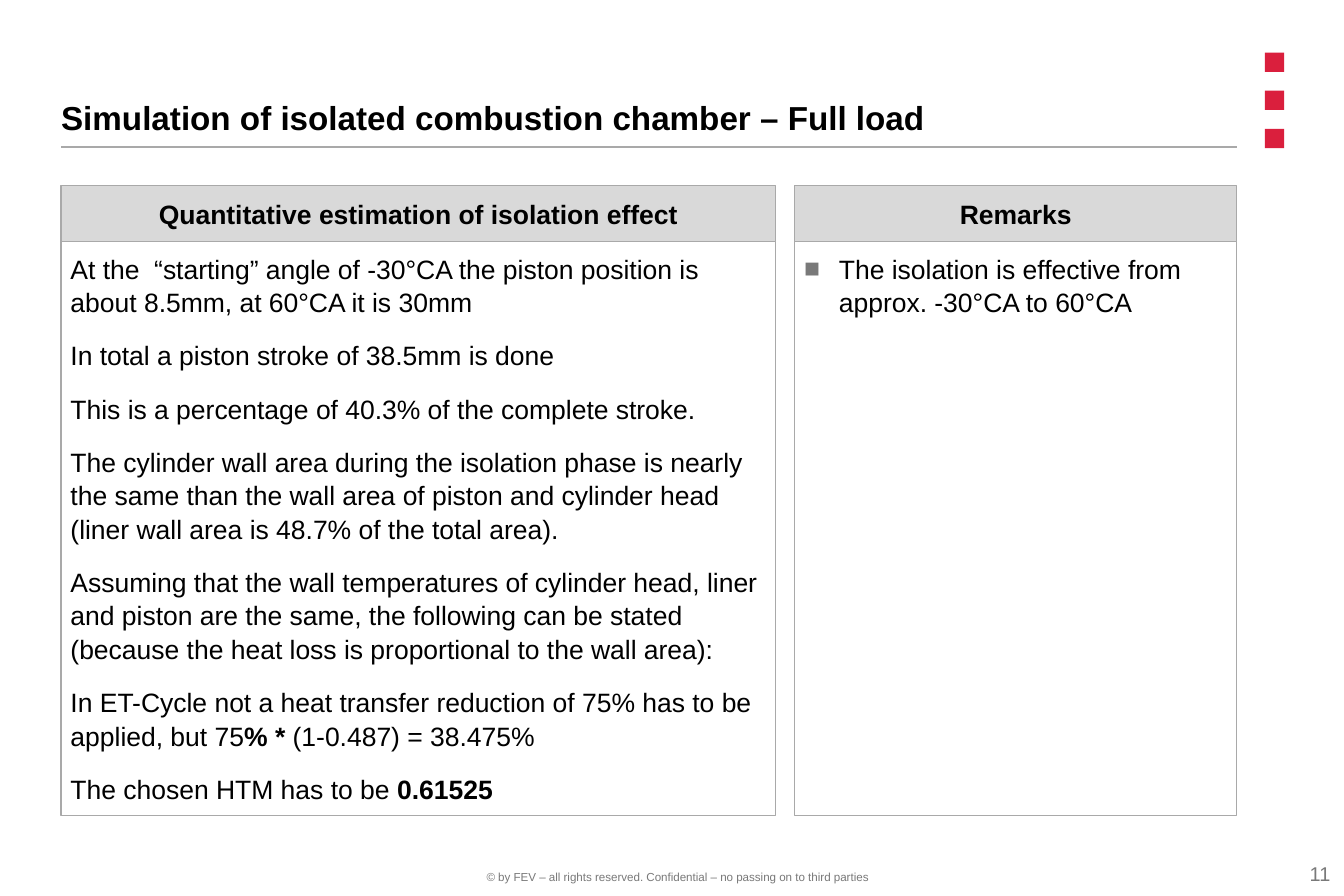
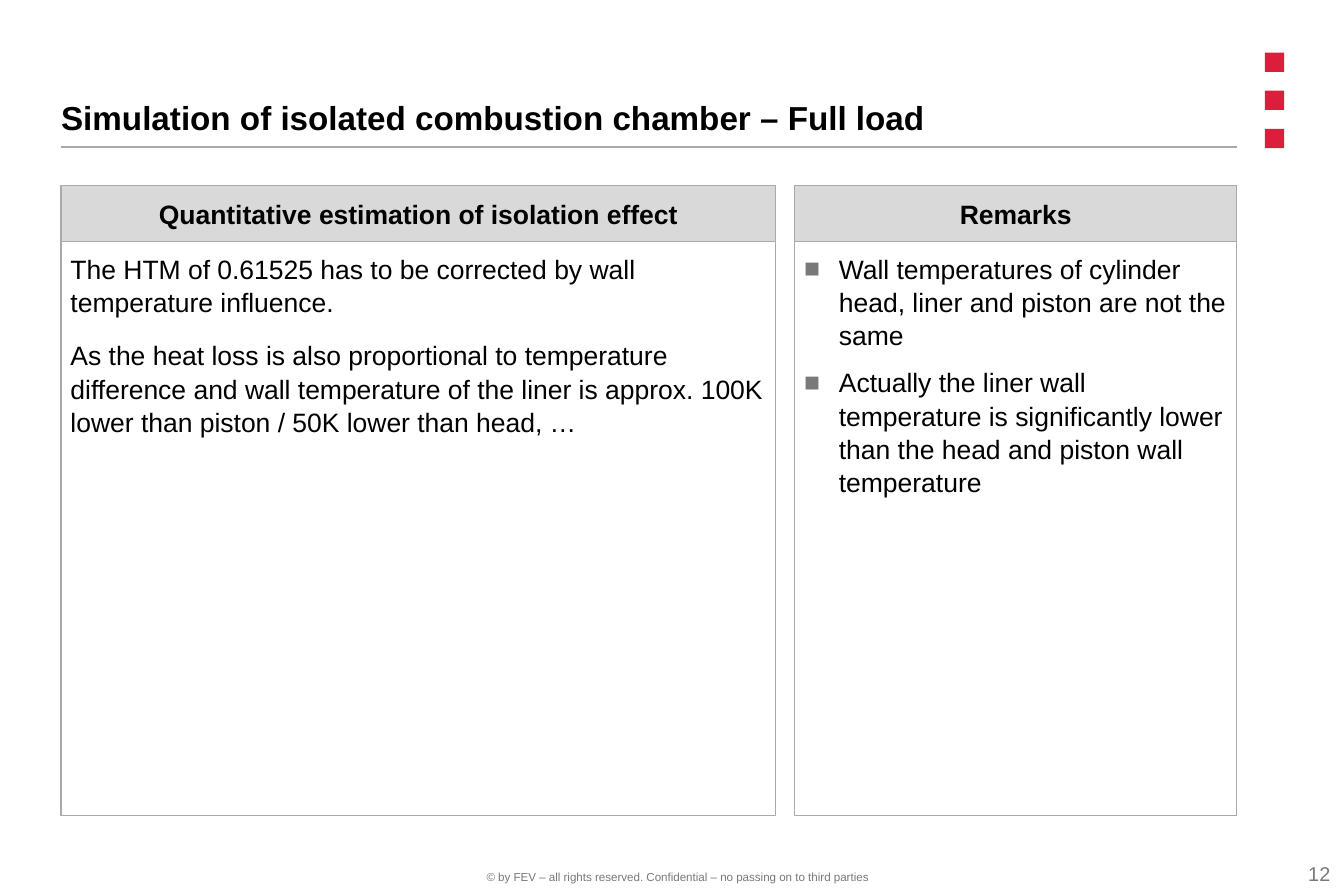
from lxml import etree
from pptx import Presentation
from pptx.dml.color import RGBColor
from pptx.enum import shapes, text
from pptx.oxml.ns import qn
from pptx.util import Cm, Pt

# Content: a paragraph is a list of runs, and "*" marks a bold run
TITLE = "Simulation of isolated combustion chamber – Full load"
FOOTER = "© by FEV – all rights reserved. Confidential – no passing on to third parties"
HEADINGS = ("Quantitative estimation of isolation effect", "Remarks")
SLIDES = [
    {
        "number": 11,
        "estimation": [
            ["At the  “starting” angle of -30°CA the piston position is about 8.5mm, at 60°CA it is 30mm"],
            ["In total a piston stroke of 38.5mm is done"],
            ["This is a percentage of 40.3% of the complete stroke."],
            ["The cylinder wall area during the isolation phase is nearly the same than the wall area "
             "of piston and cylinder head (liner wall area is 48.7% of the total area)."],
            ["Assuming that the wall temperatures of cylinder head, liner and piston are the same, the "
             "following can be stated (because the heat loss is proportional to the wall area):"],
            ["In ET-Cycle not a heat transfer reduction of 75% has to be applied, but 75",
             ("% *", "*"), " (1-0.487) = 38.475%"],
            ["The chosen HTM has to be ", ("0.61525", "*")],
        ],
        "remarks": [["The isolation is effective from approx. -30°CA to 60°CA"]],
    },
    {
        "number": 12,
        "estimation": [
            ["The HTM of 0.61525 has to be corrected by wall temperature influence."],
            ["As the heat loss is also proportional to temperature difference and wall temperature of "
             "the liner is approx. 100K lower than piston / 50K lower than head, …"],
        ],
        "remarks": [
            ["Wall temperatures of cylinder head, liner and piston are not the same"],
            ["Actually the liner wall temperature is significantly lower than the head and piston "
             "wall temperature"],
        ],
    },
]

# Shared style and grid, in centimetres
FONT = "Arial"
BLACK, GREY, LINE, HEADER, RED = "000000", "797979", "A9A9A9", "D9D9D9", "DA1F3D"
LEFT, TOP, WIDTH = 1.3, 1.12, 25
GAP, ESTIMATION_WIDTH = 0.4, 15.2
REMARKS_WIDTH = WIDTH - GAP - ESTIMATION_WIDTH
HEADER_TOP, HEADER_HEIGHT, BODY_HEIGHT = 3.94, 1.2, 12.2
RULE_Y = 3.12
SQUARE, SQUARE_PITCH, SQUARE_LEFT = 0.41, 0.81, 26.9
BULLET_INDENT = 0.74
ALIGN, ANCHOR = text.PP_ALIGN, text.MSO_ANCHOR


def color(value):
    return RGBColor.from_string(value)


def add_bullet(paragraph):
    properties = paragraph._p.get_or_add_pPr()
    properties.set("marL", str(Cm(BULLET_INDENT)))
    properties.set("indent", str(-Cm(BULLET_INDENT)))
    bullet_color = etree.SubElement(properties, qn("a:buClr"))
    etree.SubElement(bullet_color, qn("a:srgbClr"), val=GREY)
    etree.SubElement(properties, qn("a:buFont"), typeface=FONT)
    etree.SubElement(properties, qn("a:buChar"), char="■")


def write(shape, paragraphs, size, ink=BLACK, bold=False, align=ALIGN.LEFT,
          anchor=ANCHOR.BOTTOM, inset=0, gap=0, spacing=None, bullets=False):
    frame = shape.text_frame
    frame.word_wrap = True
    frame.vertical_anchor = anchor
    frame.margin_left = frame.margin_right = Cm(inset)
    frame.margin_top = frame.margin_bottom = Cm(inset)
    for index, runs in enumerate(paragraphs):
        paragraph = frame.add_paragraph() if index else frame.paragraphs[0]
        paragraph.alignment = align
        if spacing:
            paragraph.line_spacing = spacing
        if index:
            paragraph.space_before = Pt(gap)
        if bullets:
            add_bullet(paragraph)
        font = paragraph.font
        font.name, font.size, font.bold = FONT, Pt(size), bold
        font.color.rgb = color(ink)
        for item in runs:
            run = paragraph.add_run()
            if isinstance(item, tuple):
                run.text, run.font.bold = item[0], True
            else:
                run.text = item


def add_box(slide, left, top, width, height, fill=None, line=None):
    shape = slide.shapes.add_shape(shapes.MSO_SHAPE.RECTANGLE,
                                   Cm(left), Cm(top), Cm(width), Cm(height))
    shape.shadow.inherit = False
    if fill:
        shape.fill.solid()
        shape.fill.fore_color.rgb = color(fill)
    else:
        shape.fill.background()
    if line:
        shape.line.color.rgb = color(line)
        shape.line.width = Pt(0.75)
    else:
        shape.line.fill.background()
    return shape


def add_label(slide, left, top, width, height, label, size, **style):
    box = slide.shapes.add_textbox(Cm(left), Cm(top), Cm(width), Cm(height))
    write(box, [[label]], size, **style)


def add_frame(slide, number):
    # Red squares, title with rule, footer and slide number
    for index in range(3):
        add_box(slide, SQUARE_LEFT, TOP + index * SQUARE_PITCH, SQUARE, SQUARE, fill=RED)
    rule = slide.shapes.add_connector(shapes.MSO_CONNECTOR.STRAIGHT,
                                      Cm(LEFT), Cm(RULE_Y), Cm(LEFT + WIDTH), Cm(RULE_Y))
    rule.line.color.rgb = color(LINE)
    rule.line.width = Pt(1.5)
    etree.SubElement(rule._element.spPr, qn("a:effectLst"))
    add_label(slide, LEFT, TOP, WIDTH, 1.8, TITLE, 20, bold=True)
    add_label(slide, 10, 18.49, 8.47, 0.3, FOOTER, 7, ink=GREY, align=ALIGN.RIGHT)
    add_label(slide, 27.25, 18.31, 1.04, 0.51, str(number), 12, ink=GREY, align=ALIGN.RIGHT)


def add_panel(slide, left, width, heading, paragraphs, gap, bullets):
    body = add_box(slide, left, HEADER_TOP + HEADER_HEIGHT, width, BODY_HEIGHT, line=LINE)
    write(body, paragraphs, 16, anchor=ANCHOR.TOP, inset=0.2, gap=gap,
          spacing=1.05, bullets=bullets)
    header = add_box(slide, left, HEADER_TOP, width, HEADER_HEIGHT, fill=HEADER, line=LINE)
    write(header, [[heading]], 16, bold=True, align=ALIGN.CENTER, anchor=ANCHOR.MIDDLE)


def main():
    presentation = Presentation()
    presentation.slide_width, presentation.slide_height = Cm(28.58), Cm(19.05)
    for content in SLIDES:
        slide = presentation.slides.add_slide(presentation.slide_layouts[6])
        add_frame(slide, content["number"])
        add_panel(slide, LEFT, ESTIMATION_WIDTH, HEADINGS[0],
                  content["estimation"], gap=12, bullets=False)
        add_panel(slide, LEFT + ESTIMATION_WIDTH + GAP, REMARKS_WIDTH, HEADINGS[1],
                  content["remarks"], gap=8, bullets=True)
    presentation.save("out.pptx")


if __name__ == "__main__":
    main()
